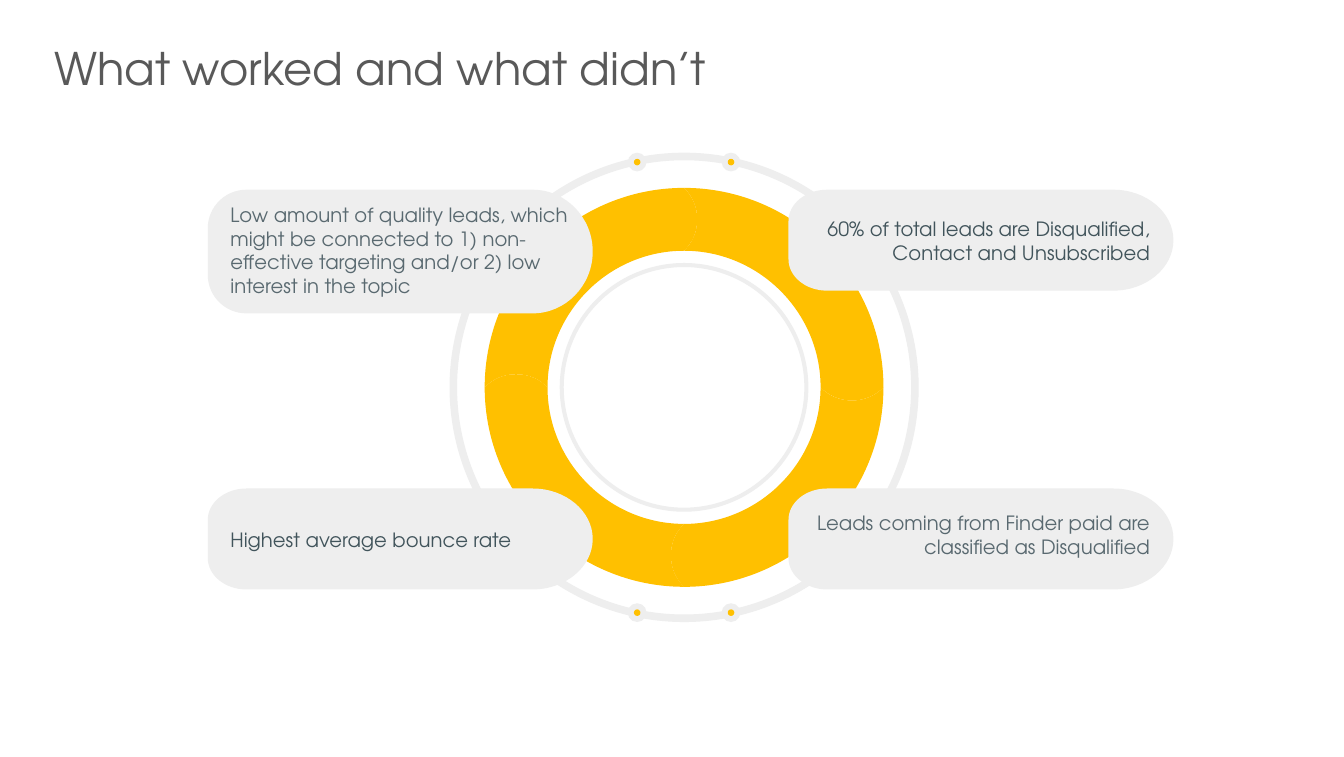
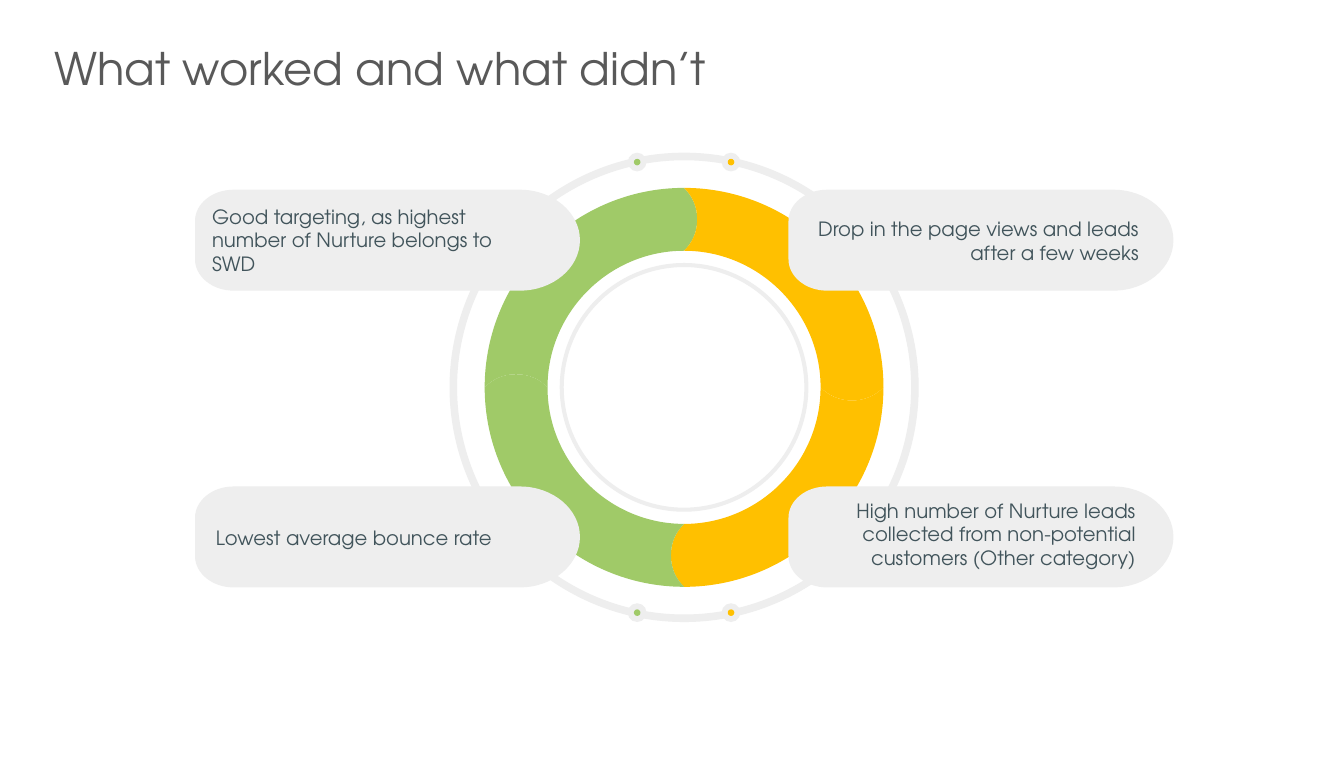
from dataclasses import dataclass
from math import cos, pi, sin

from lxml import etree
from pptx import Presentation
from pptx.dml.color import RGBColor
from pptx.enum.shapes import MSO_SHAPE
from pptx.enum.text import MSO_ANCHOR, MSO_AUTO_SIZE, PP_ALIGN
from pptx.oxml.ns import qn
from pptx.util import Inches, Pt

CELL = Inches(0.1)
COLUMNS, ROWS = 133.2, 75
ROUND = 0.55
OVAL, DONUT = MSO_SHAPE.OVAL, MSO_SHAPE.DONUT
LEFT, RIGHT = PP_ALIGN.LEFT, PP_ALIGN.RIGHT
TOP, MIDDLE = MSO_ANCHOR.TOP, MSO_ANCHOR.MIDDLE
GROW, FIXED = MSO_AUTO_SIZE.SHAPE_TO_FIT_TEXT, MSO_AUTO_SIZE.NONE


@dataclass(frozen=True)
class Theme:
    """Colours, font and type sizes of the deck."""
    font: str = "TeX Gyre Adventor"
    title_size: int = 32
    body_size: int = 14
    title: str = "595959"
    body: str = "41545B"
    soft: str = "596970"
    pale: str = "EEEEEE"
    amber: str = "FFC000"
    green: str = "A0CA68"


@dataclass(frozen=True)
class Box:
    """A rectangle in grid columns and rows."""
    x: float
    y: float
    w: float
    h: float

    def shifted(self, dx, dy, w, h):
        """Return a box offset from this one's top left corner."""
        return Box(self.x + dx, self.y + dy, w, h)

    def square(self, share, dx=0, dy=0):
        """Return a box of a share of the width, centred at shares off the middle."""
        side = self.w * share
        return Box(self.x + self.w * (0.5 + dx) - side / 2,
                   self.y + self.h * (0.5 + dy) - side / 2, side, side)

    def emu(self):
        """Return left, top, width and height in EMU."""
        return [round(length * CELL) for length in (self.x, self.y, self.w, self.h)]


@dataclass(frozen=True)
class Card:
    """A pill, the place of its text relative to it, and the wording."""
    pill: Box
    inset: tuple
    text: str
    align: int = LEFT
    colour: str = Theme.body


THEME = Theme()
TITLE = "What worked and what didn’t"
TITLE_BOX = Box(4.4, 3.52, 89, 6.4)
WHEEL_BOX = Box(44.55, 15.13, 46.5, 46.5)
PILL_WIDTH, PILL_HEIGHT = 38.15, 10


def pill_box(x, y, height=PILL_HEIGHT):
    """Return the box of a pill of the common width."""
    return Box(x, y, PILL_WIDTH, height)


SLIDES = [
    (THEME.amber, [
        Card(pill_box(20.6, 18.8, 12.25), (1.25, 1.1, 38.1, 9.8),
             "Low amount of quality leads, which might be connected to 1) non-effective "
             "targeting and/or 2) low interest in the topic", colour=THEME.soft),
        Card(pill_box(20.6, 48.4), (1.25, 1.3, 38.1, 7.5), "Highest average bounce rate"),
        Card(pill_box(78.15, 18.8), (-1.27, 2.2, 38.1, 5.7),
             "60% of total leads are Disqualified, Contact and Unsubscribed", RIGHT),
        Card(pill_box(78.15, 48.4), (-1.27, 1.75, 38.1, 5.7),
             "Leads coming from Finder paid are classified as Disqualified", RIGHT, THEME.soft),
    ]),
    (THEME.green, [
        Card(pill_box(19.33, 18.8), (0.7, -0.05, 34, 10),
             "Good targeting, as highest number of Nurture belongs to SWD"),
        Card(pill_box(19.33, 48.2), (1.07, 1.3, 38.1, 7.5), "Lowest average bounce rate"),
        Card(pill_box(78.15, 18.8), (1.9, 2.2, 33.8, 5.7),
             "Drop in the page views and leads after a few weeks", RIGHT),
        Card(pill_box(78.15, 48.2), (-0.5, 0.7, 35.9, 8.1),
             "High number of Nurture leads collected from non-potential customers "
             "(Other category)", RIGHT),
    ]),
]


def paint(shape, colour):
    """Give a shape a plain fill without line or shadow."""
    shape.shadow.inherit = False
    shape.fill.solid()
    shape.fill.fore_color.rgb = RGBColor.from_string(colour)
    shape.line.fill.background()


def add_preset(page, kind, box, colour, thickness=None):
    """Add a painted preset shape, with a band thickness for a donut."""
    shape = page.shapes.add_shape(kind, *box.emu())
    if thickness is not None:
        shape.adjustments[0] = thickness / box.w
    paint(shape, colour)


def add_outline(page, start, segments, colour):
    """Add a closed outline of lines (one point) and curves (three points)."""
    ends = [start] + [segment[-1] for segment in segments]
    left, right = (round(pick(x for x, _ in ends) * CELL) for pick in (min, max))
    top, bottom = (round(pick(y for _, y in ends) * CELL) for pick in (min, max))
    builder = page.shapes.build_freeform(left, top, scale=1.0)
    builder.add_line_segments([(right, top), (right, bottom), (left, bottom)])
    shape = builder.convert_to_shape()
    outline = shape.element.find(".//" + qn("a:path"))
    for command in list(outline):
        outline.remove(command)
    commands = [("a:moveTo", [start])]
    commands += [("a:lnTo" if len(segment) == 1 else "a:cubicBezTo", segment)
                 for segment in segments]
    for tag, points in commands:
        command = etree.SubElement(outline, qn(tag))
        for x, y in points:
            etree.SubElement(command, qn("a:pt"), x=str(round(x * CELL) - left),
                             y=str(round(y * CELL) - top))
    etree.SubElement(outline, qn("a:close"))
    paint(shape, colour)


def add_text(page, box, text, size, colour, align=LEFT, anchor=TOP, fit=GROW):
    """Add a wrapped text box with one paragraph."""
    frame = page.shapes.add_textbox(*box.emu()).text_frame
    edge = Inches(0.1 if anchor == MIDDLE else 0.05)
    frame_format = {"word_wrap": True, "auto_size": fit, "vertical_anchor": anchor,
                    "margin_top": edge, "margin_bottom": edge}
    for name, value in frame_format.items():
        setattr(frame, name, value)
    para = frame.paragraphs[0]
    para.alignment = align
    span = para.add_run()
    span.text = text
    for name, value in {"name": THEME.font, "size": Pt(size)}.items():
        setattr(span.font, name, value)
    span.font.color.rgb = RGBColor.from_string(colour)


def quarter_arc(centre, radii, start, turn=1):
    """Return the curve of a quarter ellipse, clockwise unless turn is -1."""
    def place(along, across):
        """Return a point at shares of the start and end directions."""
        return (centre[0] + radii[0] * (along * cos(start) - turn * across * sin(start)),
                centre[1] + radii[1] * (along * sin(start) + turn * across * cos(start)))
    return [place(1, ROUND), place(ROUND, 1), place(0, 1)]


def bowed_edge(centre, first, last, angle, bulge):
    """Return two curves between two radii, bowed clockwise."""
    def place(share, bow):
        """Return a point at a share of the way and of the bulge."""
        radius = first + (last - first) * share
        return (centre[0] + radius * cos(angle) - bulge * bow * sin(angle),
                centre[1] + radius * sin(angle) + bulge * bow * cos(angle))
    return [[place(0.13, 0.62), place(0.29, 1), place(0.5, 1)],
            [place(0.71, 1), place(0.87, 0.62), place(1, 0)]]


def add_wheel(page, box, left_colour, right_colour):
    """Draw the rings, the four interlocking quarters and the rim dots."""
    add_preset(page, DONUT, box, THEME.pale, thickness=0.75)
    centre = box.x + box.w / 2, box.y + box.h / 2
    outer, inner, bulge = box.w * 0.425, box.w * 0.291, box.w * 0.028
    colours = (right_colour, left_colour, left_colour, right_colour)
    for quarter, colour in enumerate(colours):
        start, end = quarter * pi / 2, (quarter + 1) * pi / 2
        corner = centre[0] + inner * cos(start), centre[1] + inner * sin(start)
        add_outline(page, corner, [
            *bowed_edge(centre, inner, outer, start, bulge),
            quarter_arc(centre, (outer, outer), start),
            *bowed_edge(centre, outer, inner, end, bulge),
            quarter_arc(centre, (inner, inner), end, -1)], colour)
    add_preset(page, DONUT, box.square(0.53), THEME.pale, thickness=0.4)
    for dx, colour in ((-0.1, left_colour), (0.1, right_colour)):
        for dy in (-0.48, 0.48):
            add_preset(page, OVAL, box.square(0.04, dx, dy), THEME.pale)
            add_preset(page, OVAL, box.square(0.014, dx, dy), colour)


def add_card(page, card):
    """Draw a pill with a rounder right end and its text."""
    box = card.pill
    bottom = box.y + box.h
    corner = box.w * 0.1, box.h * 0.31
    cap = box.w * 0.156, box.h / 2
    near, far = box.x + corner[0], box.x + box.w - cap[0]
    middle = far, box.y + cap[1]
    add_outline(page, (near, box.y), [
        quarter_arc((near, box.y + corner[1]), corner, -pi / 2, -1),
        [(box.x, bottom - corner[1])],
        quarter_arc((near, bottom - corner[1]), corner, pi, -1),
        [(far, bottom)],
        quarter_arc(middle, cap, pi / 2, -1),
        quarter_arc(middle, cap, 0, -1)], THEME.pale)
    anchor, fit = (MIDDLE, FIXED) if card.align == LEFT else (TOP, GROW)
    add_text(page, box.shifted(*card.inset), card.text, THEME.body_size,
             card.colour, card.align, anchor, fit)


def add_review_slide(deck, left_colour, cards):
    """Add a slide with the wheel, the title and the cards."""
    page = deck.slides.add_slide(deck.slide_layouts[6])
    add_wheel(page, WHEEL_BOX, left_colour, THEME.amber)
    add_text(page, TITLE_BOX, TITLE, THEME.title_size, THEME.title)
    for card in cards:
        add_card(page, card)


def main():
    """Build and save the deck."""
    deck = Presentation()
    deck.slide_width, deck.slide_height = round(COLUMNS * CELL), ROWS * CELL
    for left_colour, cards in SLIDES:
        add_review_slide(deck, left_colour, cards)
    deck.save("out.pptx")


if __name__ == "__main__":
    main()
